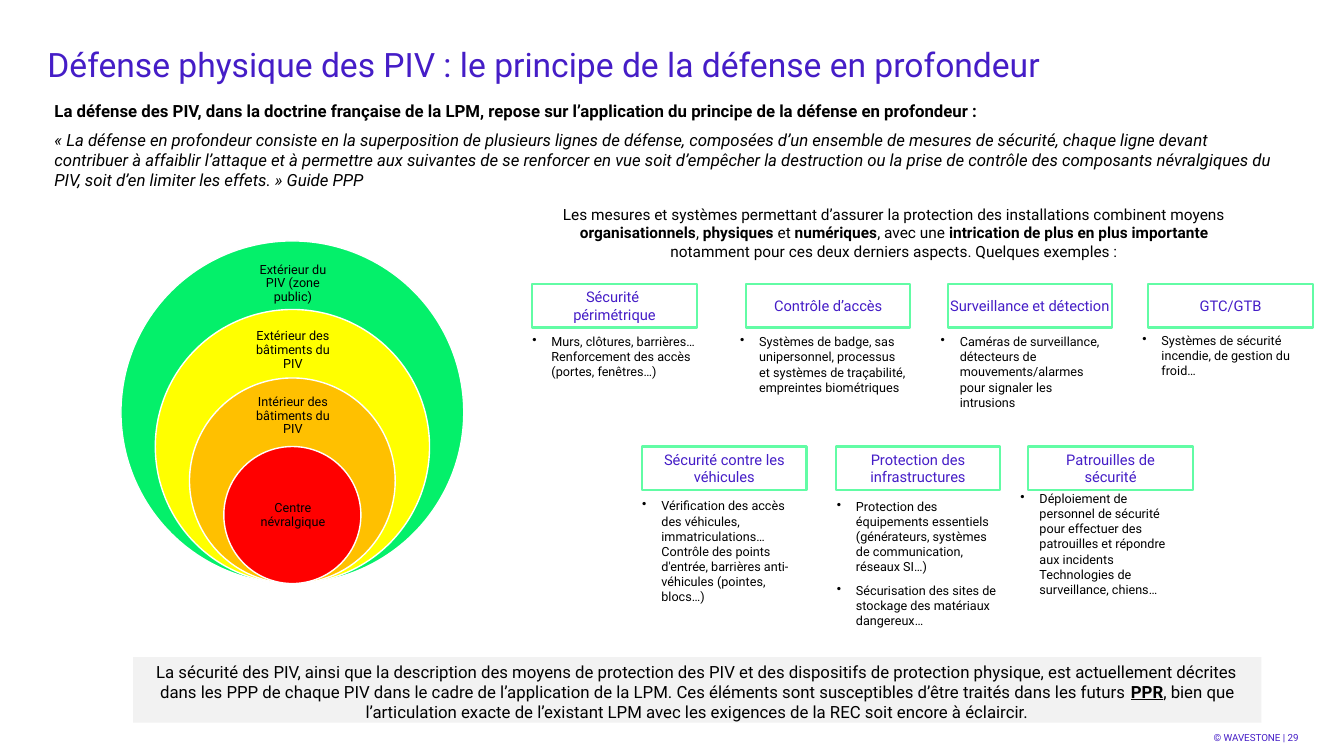
"""Build the slide on physical defence in depth of the PIV."""
from dataclasses import dataclass

from lxml import etree
from pptx import Presentation
from pptx import util as u
from pptx.dml.color import RGBColor
from pptx.enum import shapes, text
from pptx.oxml.ns import qn

PX = 9144
FONT = "Roboto"
PURPLE = RGBColor(0x45, 0x1D, 0xC7)
BLACK = RGBColor(0, 0, 0)
WHITE = RGBColor(0xFF, 0xFF, 0xFF)
GREY = RGBColor(0xF2, 0xF2, 0xF2)
MINT = RGBColor(0x62, 0xFC, 0xA5)
GREEN = RGBColor(0x04, 0xF0, 0x6A)
YELLOW = RGBColor(0xFF, 0xFF, 0)
AMBER = RGBColor(0xFF, 0xC0, 0)
RED = RGBColor(0xFF, 0, 0)

LEFT, CENTER, RIGHT = text.PP_ALIGN.LEFT, text.PP_ALIGN.CENTER, text.PP_ALIGN.RIGHT
TOP, MIDDLE = text.MSO_ANCHOR.TOP, text.MSO_ANCHOR.MIDDLE
RECT, OVAL = shapes.MSO_SHAPE.RECTANGLE, shapes.MSO_SHAPE.OVAL


@dataclass(frozen=True)
class Box:
    left: int
    top: int
    width: int
    height: int

    def emu(self) -> tuple[int, ...]:
        return tuple(v * PX for v in (self.left, self.top, self.width, self.height))


@dataclass(frozen=True)
class Span:
    text: str
    bold: bool = False
    italic: bool = False
    underline: bool = False


@dataclass(frozen=True)
class Style:
    size: float
    color: RGBColor = BLACK
    align: text.PP_ALIGN = LEFT
    anchor: text.MSO_ANCHOR = TOP
    inset_x: int = 0
    inset_y: int = 4
    gap: int = 0
    spacing: float = 1.0
    bullet: bool = False


@dataclass(frozen=True)
class Ring:
    color: RGBColor
    label: str
    label_top: int
    label_height: int


@dataclass(frozen=True)
class Card:
    left: int
    top: int
    heading: list[str]
    body: Box
    points: list[str]


TITLE = Style(24, PURPLE, inset_y=0)
INTRO = Style(12, gap=6)
LEAD = Style(11, align=CENTER)
HEADING = Style(10.5, PURPLE, CENTER, MIDDLE)
POINT = Style(9, anchor=MIDDLE, inset_y=0, gap=6, bullet=True)
RING_LABEL = Style(9, align=CENTER, anchor=MIDDLE, inset_x=7, inset_y=7, spacing=0.9)
NOTE = Style(12, align=CENTER, inset_x=8)
FOOTER = Style(7, PURPLE, RIGHT, MIDDLE, inset_y=5)

RING_CENTER, RING_BOTTOM, RING_STEP = 290, 579, 68
RINGS = [
    Ring(GREEN, "Extérieur du PIV (zone public)", 256, 51),
    Ring(YELLOW, "Extérieur des bâtiments du PIV", 323, 49),
    Ring(AMBER, "Intérieur des bâtiments du PIV", 390, 46),
    Ring(RED, "Centre névralgique", 477, 68),
]

ROW_1, ROW_2 = 282, 443
CARDS = [
    Card(528, ROW_1, ["Sécurité ", "périmétrique"], Box(528, 331, 164, 45),
         ["Murs, clôtures, barrières… Renforcement des accès (portes, fenêtres…)"]),
    Card(740, ROW_1, ["Contrôle d’accès"], Box(734, 331, 164, 61),
         ["Systèmes de badge, sas unipersonnel, processus et systèmes de traçabilité, "
          "empreintes biométriques"]),
    Card(940, ROW_1, ["Surveillance et détection"], Box(933, 331, 164, 76),
         ["Caméras de surveillance, détecteurs de mouvements/alarmes pour signaler les intrusions"]),
    Card(1139, ROW_1, ["GTC/GTB"], Box(1133, 330, 164, 45),
         ["Systèmes de sécurité incendie, de gestion du froid…"]),
    Card(637, ROW_2, ["Sécurité contre les véhicules"], Box(637, 494, 164, 106),
         ["Vérification des accès des véhicules, immatriculations… Contrôle des points d'entrée, "
          "barrières anti-véhicules (pointes, blocs…)"]),
    Card(829, ROW_2, ["Protection des infrastructures"], Box(830, 494, 164, 130),
         ["Protection des équipements essentiels (générateurs, systèmes de communication, réseaux SI…)",
          "Sécurisation des sites de stockage des matériaux dangereux…"]),
    Card(1020, ROW_2, ["Patrouilles de", "sécurité"], Box(1012, 494, 164, 91),
         ["Déploiement de personnel de sécurité pour effectuer des patrouilles et répondre aux "
          "incidents Technologies de surveillance, chiens…"]),
]


def write(sp, paragraphs: list[list[Span]], style: Style) -> None:
    tf = sp.text_frame
    tf.word_wrap = True
    tf.auto_size = text.MSO_AUTO_SIZE.SHAPE_TO_FIT_TEXT if style.bullet else text.MSO_AUTO_SIZE.NONE
    tf.vertical_anchor = style.anchor
    tf.margin_left = tf.margin_right = style.inset_x * PX
    tf.margin_top = tf.margin_bottom = style.inset_y * PX
    for i, spans in enumerate(paragraphs):
        p = tf.add_paragraph() if i else tf.paragraphs[0]
        if style.bullet:
            pPr = p._p.get_or_add_pPr()
            pPr.set("marL", str(19 * PX))
            pPr.set("indent", str(-19 * PX))
            etree.SubElement(pPr, qn("a:buChar")).set("char", "•")
        p.alignment = style.align
        p.line_spacing = style.spacing
        p.space_before = u.Pt(0)
        p.space_after = u.Pt(style.gap if i < len(paragraphs) - 1 or style.bullet else 0)
        for span in spans:
            r = p.add_run()
            r.text = span.text
            r.font.name = FONT
            r.font.size = u.Pt(style.size)
            r.font.color.rgb = style.color
            r.font.bold, r.font.italic, r.font.underline = span.bold, span.italic, span.underline


def plain(lines: list[str]) -> list[list[Span]]:
    return [[Span(line)] for line in lines]


def add_text(s, box: Box, paragraphs: list[list[Span]], style: Style) -> None:
    write(s.shapes.add_textbox(*box.emu()), paragraphs, style)


def add_shape(s, kind: shapes.MSO_SHAPE, box: Box, fill: RGBColor | None = None,
              line: RGBColor | None = None, weight: float = 1):
    sp = s.shapes.add_shape(kind, *box.emu())
    sp.shadow.inherit = False
    if fill is None:
        sp.fill.background()
    else:
        sp.fill.solid()
        sp.fill.fore_color.rgb = fill
    if line is None:
        sp.line.fill.background()
    else:
        sp.line.color.rgb = line
        sp.line.width = u.Pt(weight)
    return sp


def add_ring(s, ring: Ring, diameter: int) -> None:
    add_shape(s, OVAL, Box(RING_CENTER - diameter // 2, RING_BOTTOM - diameter, diameter, diameter),
              ring.color, WHITE)
    add_text(s, Box(RING_CENTER - 47, ring.label_top, 95, ring.label_height),
             plain([ring.label]), RING_LABEL)


def add_card(s, card: Card) -> None:
    sp = add_shape(s, RECT, Box(card.left, card.top, 163, 43), line=MINT, weight=1.5)
    write(sp, plain(card.heading), HEADING)
    add_text(s, card.body, plain(card.points), POINT)


def main() -> None:
    prs = Presentation()
    prs.slide_width, prs.slide_height = 1333 * PX, 750 * PX
    s = prs.slides.add_slide(prs.slide_layouts[5])
    title = s.shapes.title
    title.left, title.top, title.width, title.height = Box(47, 44, 1240, 102).emu()
    write(title, plain(["Défense physique des PIV : le principe de la défense en profondeur"]), TITLE)
    add_text(s, Box(54, 96, 1219, 98), [
        [Span("La défense des PIV, dans la doctrine française de la LPM, repose sur l’application "
              "du principe de la défense en profondeur :", bold=True)],
        [Span("« La défense en profondeur consiste en la superposition de plusieurs lignes de défense, "
              "composées d’un ensemble de mesures de sécurité, chaque ligne devant contribuer à "
              "affaiblir l’attaque et à permettre aux suivantes de se renforcer en vue soit d’empêcher "
              "la destruction ou la prise de contrôle des composants névralgiques du PIV, soit d’en "
              "limiter les effets. » Guide PPP", italic=True)],
    ], INTRO)
    for i, ring in enumerate(RINGS):
        add_ring(s, ring, RING_STEP * (5 - i))
    add_text(s, Box(542, 199, 690, 69), [[
        Span("Les mesures et systèmes permettant d’assurer la protection des installations "
             "combinent moyens "),
        Span("organisationnels", bold=True), Span(", "), Span("physiques", bold=True),
        Span(" et"), Span(" numériques", bold=True), Span(", avec une "),
        Span("intrication de plus en plus importante ", bold=True),
        Span("notamment pour ces deux derniers aspects. Quelques exemples :"),
    ]], LEAD)
    for card in CARDS:
        add_card(s, card)
    write(add_shape(s, RECT, Box(132, 652, 1119, 65), GREY), [[
        Span("La sécurité des PIV, ainsi que la description des moyens de protection des PIV et des "
             "dispositifs de protection physique, est actuellement décrites dans les PPP de chaque PIV "
             "dans le cadre de l’application de la LPM. Ces éléments sont susceptibles d’être traités "
             "dans les futurs "),
        Span("PPR", bold=True, underline=True),
        Span(", bien que l’articulation exacte de l’existant LPM avec les exigences de la REC soit "
             "encore à éclaircir."),
    ]], NOTE)
    add_text(s, Box(1158, 719, 130, 26), plain(["© WAVESTONE | 29"]), FOOTER)
    prs.save("out.pptx")


if __name__ == "__main__":
    main()
